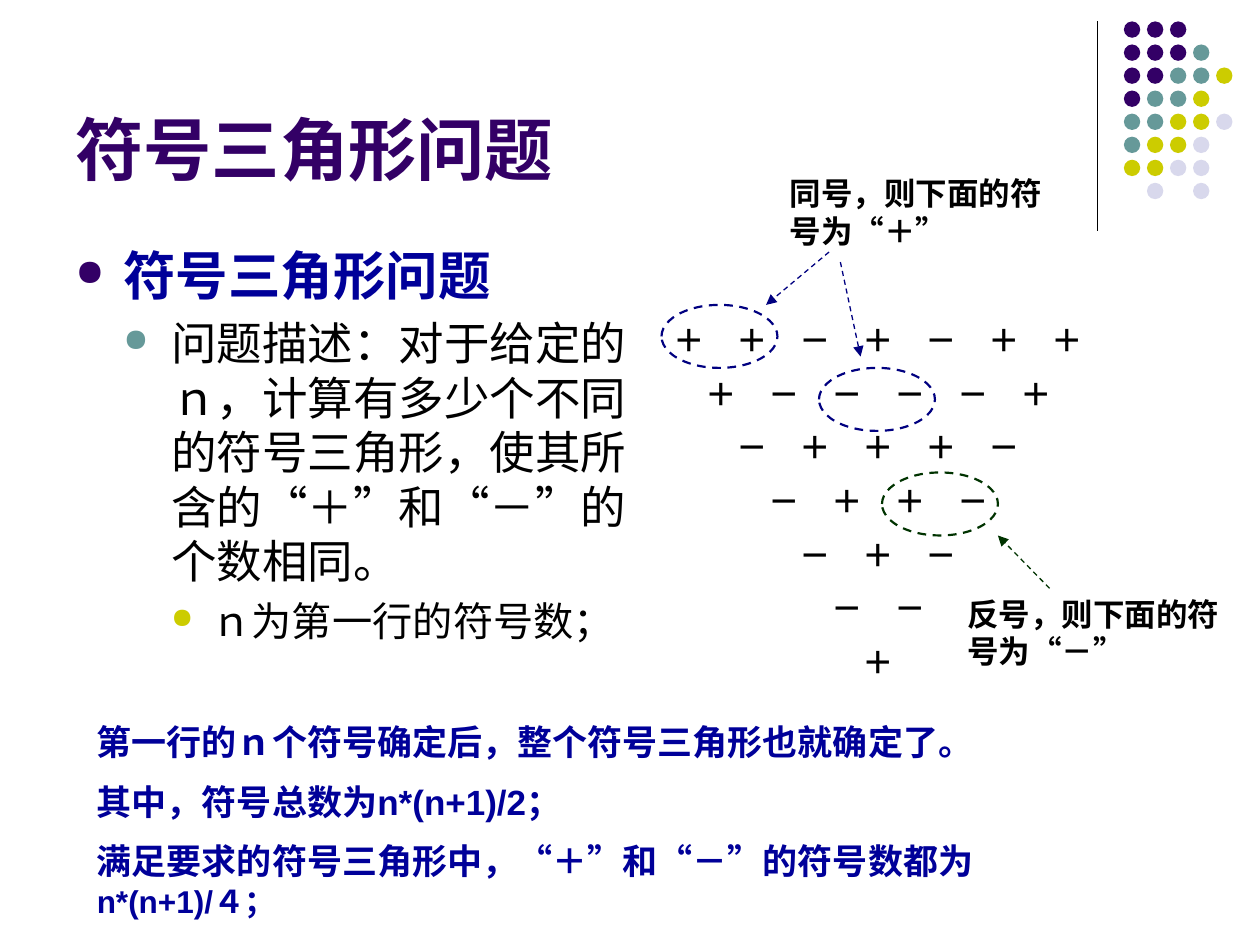
from lxml import etree
from pptx import Presentation
from pptx.dml.color import RGBColor
from pptx.enum.dml import MSO_LINE
from pptx.enum.lang import MSO_LANGUAGE_ID
from pptx.enum.shapes import MSO_CONNECTOR, MSO_SHAPE
from pptx.enum.text import MSO_ANCHOR
from pptx.oxml.ns import qn
from pptx.util import Inches, Pt

OVAL = MSO_SHAPE.OVAL
STRAIGHT = MSO_CONNECTOR.STRAIGHT
DASH = MSO_LINE.DASH
CHINESE = MSO_LANGUAGE_ID.SIMPLIFIED_CHINESE
TOP, BOTTOM = MSO_ANCHOR.TOP, MSO_ANCHOR.BOTTOM

BLACK = RGBColor(0x00, 0x00, 0x00)
PURPLE = RGBColor(0x33, 0x00, 0x66)
TEAL = RGBColor(0x66, 0x99, 0x99)
OLIVE = RGBColor(0xCC, 0xCC, 0x00)
LAVENDER = RGBColor(0xD8, 0xD8, 0xEC)
BLUE = RGBColor(0x00, 0x00, 0x99)
NAVY = RGBColor(0x00, 0x00, 0x80)
GREEN = RGBColor(0x00, 0x33, 0x00)

prs = Presentation()
prs.slide_width, prs.slide_height = Inches(10), Inches(7.5)
slide = prs.slides.add_slide(prs.slide_layouts[6])
shapes = slide.shapes


def add_text(box, lines, anchor=TOP):
    """Each line is (runs, color, bold, left margin, bullet); a run is (text, size).

    A bullet is (color, hanging indent). Space before is half the text size,
    or a fifth of it for bulleted lines.
    """
    frame = shapes.add_textbox(*map(Inches, box)).text_frame
    frame.word_wrap = True
    frame.vertical_anchor = anchor
    for i, (runs, color, bold, margin, bullet) in enumerate(lines):
        paragraph = frame.paragraphs[0] if i == 0 else frame.add_paragraph()
        props = paragraph._p.get_or_add_pPr()
        props.set("marL", str(Inches(margin)))
        if bullet:
            bullet_color, hanging = bullet
            props.set("indent", str(-Inches(hanging)))
            holder = etree.SubElement(props, qn("a:buClr"))
            etree.SubElement(holder, qn("a:srgbClr"), val=str(bullet_color))
            etree.SubElement(props, qn("a:buSzPct"), val="70000")
            etree.SubElement(props, qn("a:buChar"), char="●")
        if i:
            paragraph.space_before = Pt(runs[0][1] * (0.2 if bullet else 0.5))
        for text, size in runs:
            run = paragraph.add_run()
            run.text = text
            run.font.color.rgb = color
            formats = {"name": "Arial", "size": Pt(size), "bold": bold,
                       "language_id": CHINESE}
            for name, value in formats.items():
                setattr(run.font, name, value)


def add_line(start, end, color, arrow=True):
    line = shapes.add_connector(STRAIGHT, *map(Inches, start + end))
    line.line.color.rgb = color
    line.line.width = Pt(0.75)
    if arrow:
        line.line.dash_style = DASH
        etree.SubElement(line.line._get_or_add_ln(), qn("a:tailEnd"), type="triangle")
    etree.SubElement(line._element.spPr, qn("a:effectLst"))


# Corner decoration: one letter per dot, a dot mark for a gap
add_line((8.71, 0.17), (8.71, 1.83), BLACK, arrow=False)
dot_colors = {"P": PURPLE, "T": TEAL, "O": OLIVE, "L": LAVENDER}
dot_rows = ["PPP", "PPPT", "PPTTO", "PTTO", "TTOOL", "TOOL", "OOLL", ".L.L"]
dot_pitch = 0.183
for row, letters in enumerate(dot_rows):
    for column, letter in enumerate(letters):
        if letter == ".":
            continue
        dot = shapes.add_shape(OVAL, Inches(8.92 + column * dot_pitch),
                               Inches(0.17 + row * dot_pitch), Inches(0.13), Inches(0.13))
        dot.shadow.inherit = False
        dot.fill.solid()
        dot.fill.fore_color.rgb = dot_colors[letter]
        dot.line.fill.background()

# Title and problem statement
add_text((0.5, 0.13, 8.25, 1.42),
         [([("符号三角形问题", 39)], PURPLE, True, 0, None)], BOTTOM)
description = "问题描述：对于给定的ｎ，计算有多少个不同的符号三角形，使其所含的“＋”和“－”的个数相同。"
add_text((0.5, 1.88, 4.58, 4.82), [
    ([("符号三角形问题", 30)], BLUE, True, 0.38, (PURPLE, 0.38)),
    ([(description, 26)], BLACK, False, 0.76, (TEAL, 0.38)),
    ([("ｎ为第一行的符号数；", 23)], BLACK, False, 1.08, (OLIVE, 0.32)),
])

# Sign triangle: each row starts one character further in
sign_rows = ["＋＋－＋－＋＋", "＋－－－－＋", "－＋＋＋－", "－＋＋－", "－＋－", "－－", "＋"]
add_text((5.25, 2.5, 3.58, 3.11), [
    ([("\u3000".join(signs), 18)], BLACK, True, row * 0.25, None)
    for row, signs in enumerate(sign_rows)
])

# Rings round the example pairs, with their arrows and callouts
for left, top, color in [(5.25, 2.42, NAVY), (6.5, 2.92, NAVY), (7, 3.75, GREEN)]:
    ring = shapes.add_shape(OVAL, Inches(left), Inches(top), Inches(0.92), Inches(0.5))
    ring.shadow.inherit = False
    ring.fill.background()
    ring.line.color.rgb = color
    ring.line.width = Pt(1.25)
    ring.line.dash_style = DASH

add_line((6.58, 2), (6.08, 2.42), NAVY)
add_line((6.67, 2.08), (6.83, 2.83), NAVY)
add_line((8.33, 4.67), (7.92, 4.25), GREEN)

for left, top, callout in [(6.17, 1.33, "同号，则下面的符号为“＋”"),
                           (7.58, 4.67, "反号，则下面的符号为“－”")]:
    add_text((left, top, 2.25, 0.7), [([(callout, 18)], BLACK, True, 0, None)])

# Conclusions
conclusions = [
    [("第一行的ｎ个符号确定后，整个符号三角形也就确定了。", 20)],
    [("其中，符号总数为n*(n+1)/2；", 20)],
    [("满足要求的符号三角形中，“＋”和“－”的符号数都为", 20), ("n*(n+1)/４；", 18)],
]
add_text((0.67, 5.67, 8.17, 1.43),
         [(runs, BLUE, True, 0, None) for runs in conclusions])

prs.save("out.pptx")
